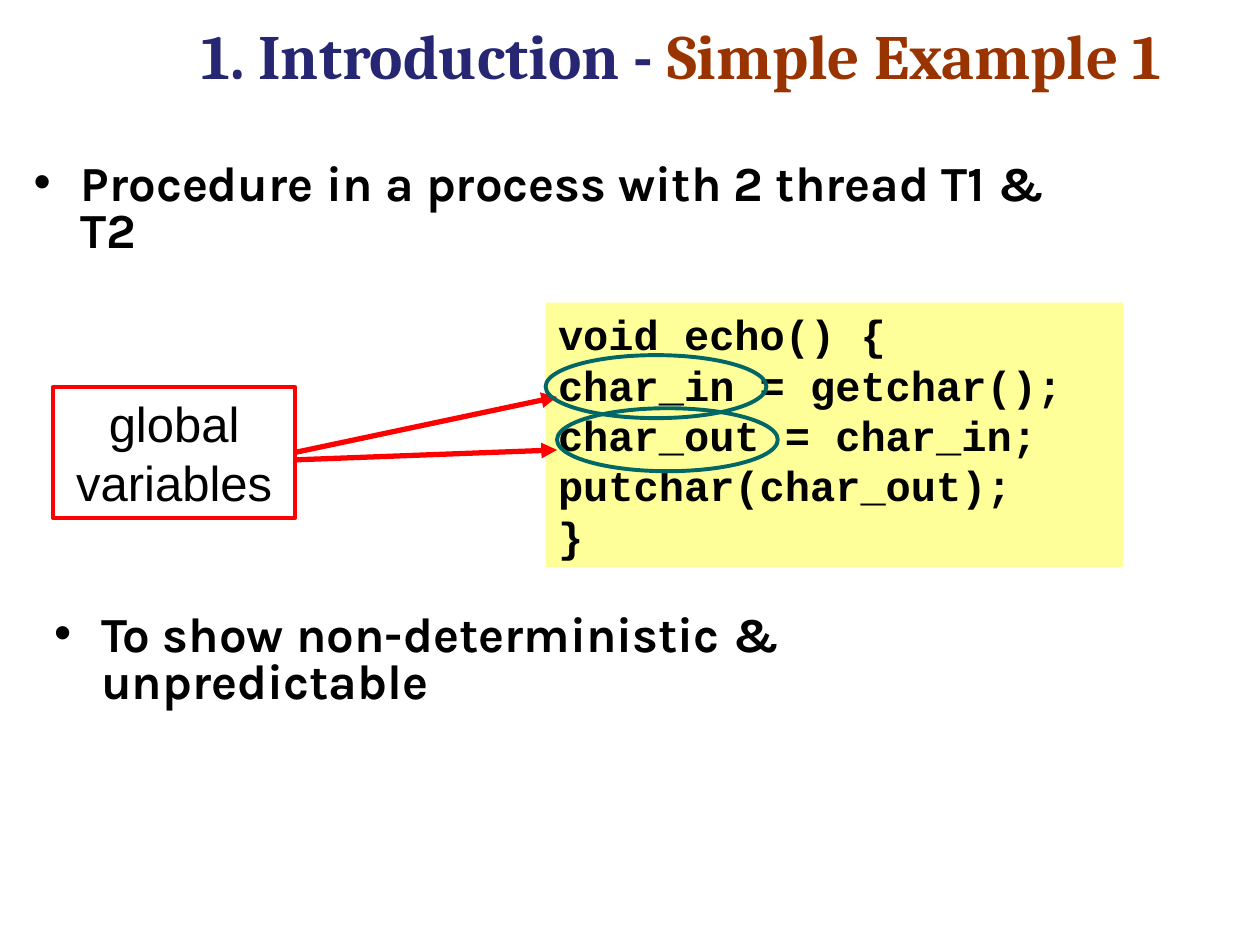
from dataclasses import dataclass

from lxml.etree import SubElement
from pptx import Presentation
from pptx.dml.color import RGBColor as RGB
from pptx.enum.shapes import MSO_CONNECTOR as CONN, MSO_SHAPE as SHAPE
from pptx.enum.text import MSO_ANCHOR as ANCHOR, PP_ALIGN as ALIGN
from pptx.oxml.ns import qn
from pptx.util import Cm, Pt


@dataclass(frozen=True)
class Theme:
    navy: RGB = RGB(0x26, 0x26, 0x73)
    rust: RGB = RGB(0x99, 0x33, 0x00)
    black: RGB = RGB(0, 0, 0)
    yellow: RGB = RGB(0xFF, 0xFF, 0x99)
    red: RGB = RGB(0xFF, 0, 0)
    teal: RGB = RGB(0, 0x66, 0x66)
    title: Pt = Pt(36)
    body: Pt = Pt(28)
    code: Pt = Pt(24)


T = Theme()


def add_run(p, text, size, name, color, bold=True):
    r = p.add_run()
    r.text = text
    for key, value in {"size": size, "name": name, "bold": bold}.items():
        setattr(r.font, key, value)
    r.font.color.rgb = color


def add_outline(kind, box, fill=None, line=None):
    """Add a shape without shadow; no fill or line unless a colour is given."""
    sp = s.shapes.add_shape(kind, *map(Cm, box))
    sp.shadow.inherit = False
    if fill is None:
        sp.fill.background()
    else:
        sp.fill.solid()
        sp.fill.fore_color.rgb = fill
    if line is None:
        sp.line.fill.background()
    else:
        sp.line.color.rgb = line
        sp.line.width = Pt(2.25)
    return sp


prs = Presentation()
prs.slide_width, prs.slide_height = Cm(25.4), Cm(19.05)
s = prs.slides.add_slide(prs.slide_layouts[6])

# Title
tf = s.shapes.add_textbox(Cm(3.81), Cm(0.2), Cm(21.39), Cm(2.1)).text_frame
tf.word_wrap = True
p = tf.paragraphs[0]
add_run(p, "1. Introduction - ", T.title, "Cambria", T.navy)
add_run(p, "Simple Example 1", T.title, "Cambria", T.rust)

# Bullets
bullets = [
    (0.43, 3.18, "Procedure in a process with 2 thread T1 & T2"),
    (0.84, 12.27, "To show non-deterministic & unpredictable"),
]
for left, top, text in bullets:
    tf = s.shapes.add_textbox(Cm(left), Cm(top), Cm(21.59), Cm(2.74)).text_frame
    tf.word_wrap = True
    p = tf.paragraphs[0]
    p.line_spacing = 0.8
    pPr = p._p.get_or_add_pPr()
    pPr.set("marL", str(Cm(0.95)))
    pPr.set("indent", str(-Cm(0.95)))
    color = SubElement(SubElement(pPr, qn("a:buClr")), qn("a:srgbClr"))
    color.set("val", str(T.black))
    SubElement(pPr, qn("a:buFont")).set("typeface", "Arial")
    SubElement(pPr, qn("a:buChar")).set("char", "•")
    add_run(p, text, T.body, "Karla", T.black)

# Code
code = [
    "void echo() {",
    "char_in = getchar();",
    "char_out = char_in;",
    "putchar(char_out);",
    "}",
]
tf = add_outline(SHAPE.RECTANGLE, (11, 6.1, 11.64, 5.33), fill=T.yellow).text_frame
tf.vertical_anchor = ANCHOR.MIDDLE
for i, text in enumerate(code):
    p = tf.add_paragraph() if i else tf.paragraphs[0]
    p.alignment = ALIGN.LEFT
    p.line_spacing = Pt(28.8)
    add_run(p, text, T.code, "Courier New", T.black)

# Label and its arrows
label = add_outline(SHAPE.RECTANGLE, (1.07, 7.8, 4.88, 2.64), line=T.red)
tf = label.text_frame
tf.word_wrap = True
tf.vertical_anchor = ANCHOR.MIDDLE
p = tf.paragraphs[0]
p.alignment = ALIGN.CENTER
add_run(p, "global variables", T.body, "Arial", T.black, bold=False)

arrows = []
for y1, y2 in [(9.12, 8), (9.27, 9.07)]:
    arrow = s.shapes.add_connector(CONN.STRAIGHT, Cm(5.95), Cm(y1), Cm(11.23), Cm(y2))
    arrow.line.color.rgb = T.red
    arrow.line.width = Pt(3)
    SubElement(arrow.line._get_or_add_ln(), qn("a:tailEnd")).set("type", "triangle")
    SubElement(arrow._element.spPr, qn("a:effectLst"))
    arrows.append(arrow)
arrows[0].begin_connect(label, 3)

# Rings around the global variables
for left, top in [(11, 7.16), (11.23, 8.23)]:
    add_outline(SHAPE.OVAL, (left, top, 4.45, 1.27), line=T.teal)

prs.save("out.pptx")
